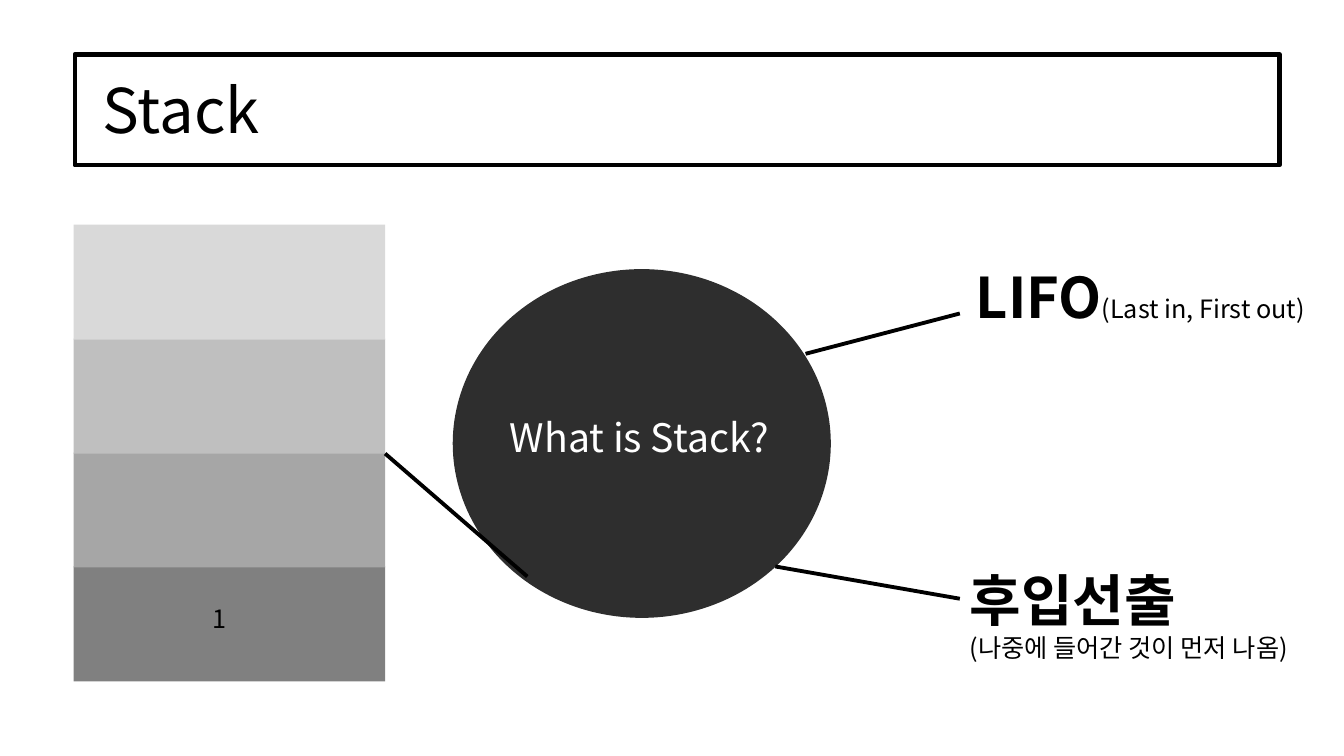
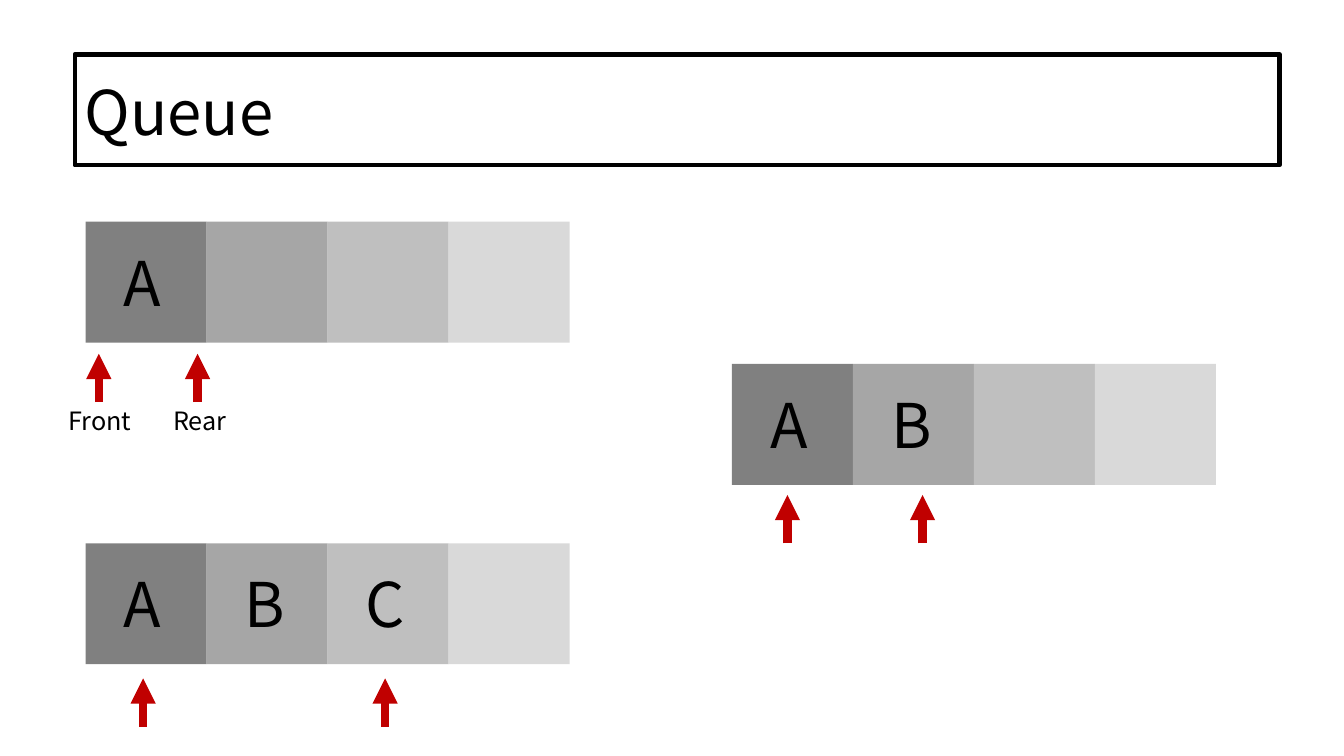
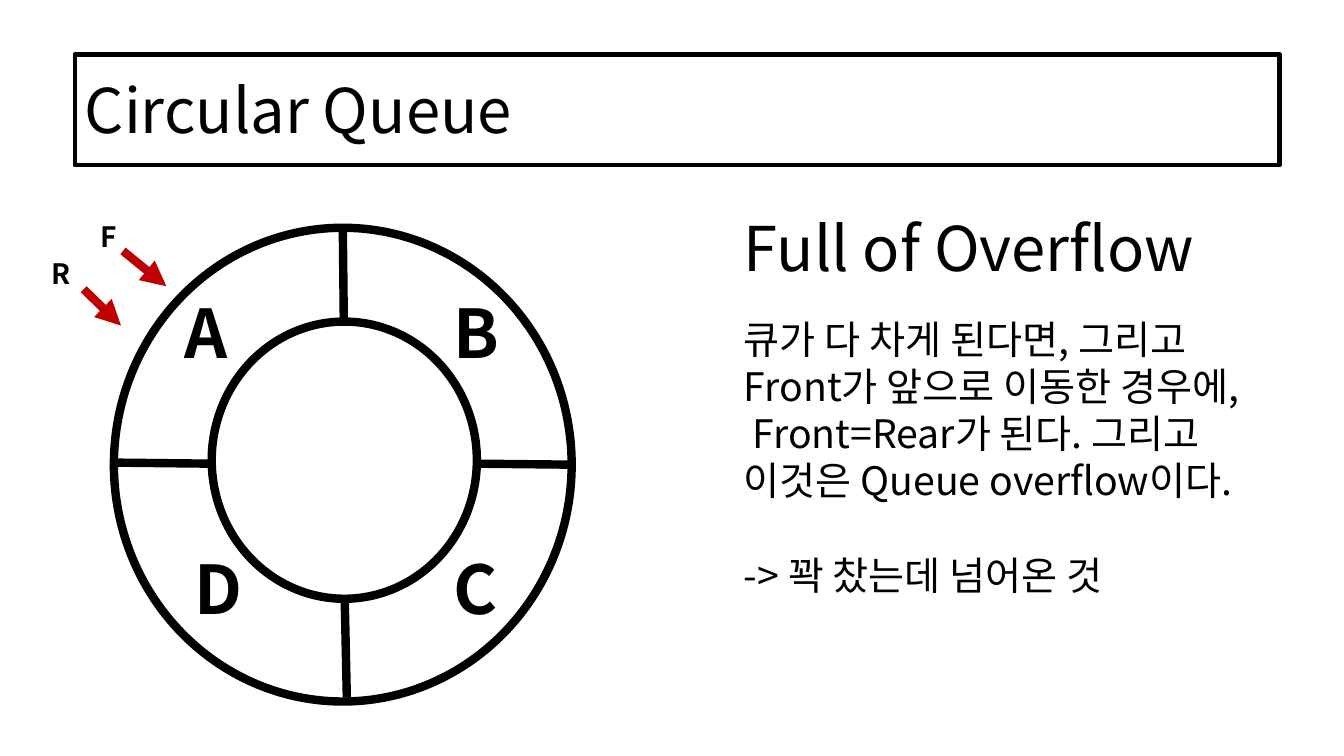
"""Build three slides on the stack, the queue and the circular queue."""
from lxml import etree
from pptx import Presentation
from pptx.dml.color import RGBColor
from pptx.enum.shapes import MSO_CONNECTOR, MSO_SHAPE
from pptx.enum.text import MSO_ANCHOR, MSO_AUTO_SIZE, PP_ALIGN
from pptx.oxml.ns import qn
from pptx.util import Emu, Pt

PX = 9144
FONT = "Noto Sans CJK KR"
RECTANGLE, ELLIPSE = MSO_SHAPE.RECTANGLE, MSO_SHAPE.OVAL
STRAIGHT = MSO_CONNECTOR.STRAIGHT
MIDDLE, LEFT = MSO_ANCHOR.MIDDLE, PP_ALIGN.LEFT
FIT_SHAPE, NO_FIT = MSO_AUTO_SIZE.SHAPE_TO_FIT_TEXT, MSO_AUTO_SIZE.NONE

COLORS = {"ink": "000000", "paper": "FFFFFF", "pointer": "C00000",
          "cell 1": "808080", "cell 2": "A6A6A6", "cell 3": "BFBFBF", "cell 4": "D9D9D9"}
CELLS = ("cell 1", "cell 2", "cell 3", "cell 4")

TITLE_SIZE = (1150, 145)
TITLE_FRAME = (74, 54, 1195, 110)

STACK_BOTTOM_BLOCK = (73, 562, 309, 114)
STACK_STEP = 113
STACK_CIRCLE = (449, 267, 375, 346)
STACK_LINES = [(799, 351, 952, 311), (769, 562, 952, 594), (382, 450, 523, 572)]
STACK_QUESTION = ((496, 405, 410, 57), [("What is Stack?", 28, False)])
STACK_LIFO = ((958, 256, 375, 77), [("LIFO", 40, True)])
STACK_LIFO_NOTE = "(Last in, First out)"
STACK_TEXTS = [
    ((952, 556, 375, 108), [("후입선출", 40, True), ("(나중에 들어간 것이 먼저 나옴)", 18, False)]),
    ((201, 594, 114, 40), [("1", 18, False)]),
]

QUEUE_CELL = 120
QUEUE_LETTER = (28, 18, 86, 84)
QUEUE_ARROW = 48
QUEUES = [
    {"at": (85, 220), "letters": "A", "arrows": (98, 196), "tip": 351},
    {"at": (726, 361), "letters": "AB", "arrows": (781, 915), "tip": 491},
    {"at": (85, 539), "letters": "ABC", "arrows": (142, 382), "tip": 673},
]
QUEUE_LABELS = [((58, 397, 101, 40), "Front"), ((162, 397, 82, 40), "Rear")]

RING_CIRCLES = [(113, 226, 454, 470), (210, 319, 263, 275)]
RING_SPOKES = [(340, 226, 341, 319), (567, 461, 473, 460),
               (210, 460, 117, 459), (342, 598, 344, 692)]
RING_LETTERS = [("A", 173, 284), ("B", 440, 284), ("C", 440, 538), ("D", 183, 538)]
RING_POINTERS = [("F", 90, 213, (122, 249, 165, 284)), ("R", 41, 250, (83, 287, 120, 323))]
OVERFLOW_HEADING = ((728, 203, 496, 84), [("Full of Overflow", 44, False)])
OVERFLOW_BODY = ((728, 308, 509, 293), [
    ("큐가 다 차게 된다면, 그리고 Front가 앞으로 이동한 경우에, Front=Rear가 된다. "
     "그리고 이것은 Queue overflow이다.", 28, False),
    ("-> 꽉 찼는데 넘어온 것", 28, False),
])
OVERFLOW_GAP = 34


def scaled(lengths):
    return [Emu(length * PX) for length in lengths]


def color(name):
    return RGBColor.from_string(COLORS[name])


def style_run(run, size, bold=False, ink="ink"):
    run.font.size = Pt(size)
    run.font.bold = bold
    run.font.color.rgb = color(ink)
    run.font.name = FONT
    etree.SubElement(run.font._element, qn("a:ea"), typeface=FONT)


def add_text(slide, box, lines, ink="ink"):
    text_frame = slide.shapes.add_textbox(*scaled(box)).text_frame
    text_frame.word_wrap = True
    text_frame.auto_size = FIT_SHAPE
    for index, (text, size, bold) in enumerate(lines):
        paragraph = text_frame.add_paragraph() if index else text_frame.paragraphs[0]
        paragraph.text = text
        style_run(paragraph.runs[0], size, bold, ink)
    return text_frame


def add_shape(shapes, kind, box, fill=None, line_width=None):
    shape = shapes.add_shape(kind, *scaled(box))
    shape.shadow.inherit = False
    if fill:
        shape.fill.solid()
        shape.fill.fore_color.rgb = color(fill)
    else:
        shape.fill.background()
    if line_width:
        shape.line.color.rgb = color("ink")
        shape.line.width = Pt(line_width)
    else:
        shape.line.fill.background()
    return shape


def add_line(shapes, ends, width, ink="ink", arrow=False):
    connector = shapes.add_connector(STRAIGHT, *scaled(ends))
    connector.line.color.rgb = color(ink)
    connector.line.width = Pt(width)
    properties = connector._element.spPr
    if arrow:
        etree.SubElement(properties.find(qn("a:ln")), qn("a:tailEnd"), type="triangle")
    etree.SubElement(properties, qn("a:effectLst"))


def add_titled_slide(presentation, text, left, top):
    slide = presentation.slides.add_slide(presentation.slide_layouts[5])
    title = slide.shapes.title
    title.left, title.top, title.width, title.height = scaled((left, top, *TITLE_SIZE))
    text_frame = title.text_frame
    text_frame.text = text
    text_frame.word_wrap = True
    text_frame.auto_size = NO_FIT
    text_frame.vertical_anchor = MIDDLE
    paragraph = text_frame.paragraphs[0]
    paragraph.alignment = LEFT
    paragraph.line_spacing = 0.9
    style_run(paragraph.runs[0], 44)
    add_shape(slide.shapes, RECTANGLE, TITLE_FRAME, line_width=3)
    return slide


def build_stack(presentation):
    slide = add_titled_slide(presentation, "Stack", 92, 40)
    circle = add_shape(slide.shapes, ELLIPSE, STACK_CIRCLE, "ink")
    fill_color = circle._element.spPr.find(qn("a:solidFill"))[0]
    etree.SubElement(fill_color, qn("a:alpha"), val="82000")
    add_text(slide, *STACK_QUESTION, ink="paper")
    left, top, width, height = STACK_BOTTOM_BLOCK
    for level, fill in enumerate(CELLS):
        add_shape(slide.shapes, RECTANGLE, (left, top - level * STACK_STEP, width, height), fill)
    for ends in STACK_LINES:
        add_line(slide.shapes, ends, 2.75)
    note = add_text(slide, *STACK_LIFO).paragraphs[0].add_run()
    note.text = STACK_LIFO_NOTE
    style_run(note, 18)
    for box, lines in STACK_TEXTS:
        add_text(slide, box, lines)


def build_queue(presentation):
    slide = add_titled_slide(presentation, "Queue", 74, 42)
    letter_left, letter_top, *letter_size = QUEUE_LETTER
    for queue in QUEUES:
        left, top = queue["at"]
        row = slide.shapes.add_group_shape()
        for index, fill in enumerate(CELLS):
            cell = (left + index * QUEUE_CELL, top, QUEUE_CELL, QUEUE_CELL)
            add_shape(row.shapes, RECTANGLE, cell, fill)
        for index, letter in enumerate(queue["letters"]):
            box = (left + index * QUEUE_CELL + letter_left, top + letter_top, *letter_size)
            add_text(slide, box, [(letter, 44, False)])
        for x in queue["arrows"]:
            ends = (x, queue["tip"] + QUEUE_ARROW, x, queue["tip"])
            add_line(slide.shapes, ends, 6, "pointer", arrow=True)
    for box, label in QUEUE_LABELS:
        add_text(slide, box, [(label, 18, False)])


def build_circular_queue(presentation):
    slide = add_titled_slide(presentation, "Circular Queue", 74, 40)
    ring = slide.shapes.add_group_shape()
    for box in RING_CIRCLES:
        add_shape(ring.shapes, ELLIPSE, box, line_width=6)
    for ends in RING_SPOKES:
        add_line(ring.shapes, ends, 6)
    for letter, left, top in RING_LETTERS:
        add_text(slide, (left, top, 53, 91), [(letter, 48, True)])
    for letter, left, top, ends in RING_POINTERS:
        add_line(slide.shapes, ends, 6, "pointer", arrow=True)
        add_text(slide, (left, top, 34, 44), [(letter, 20, True)])
    add_text(slide, *OVERFLOW_HEADING)
    body = add_text(slide, *OVERFLOW_BODY)
    body.paragraphs[1].space_before = Pt(OVERFLOW_GAP)


def main():
    presentation = Presentation()
    presentation.slide_width, presentation.slide_height = scaled((1333, 750))
    build_stack(presentation)
    build_queue(presentation)
    build_circular_queue(presentation)
    presentation.save("out.pptx")


if __name__ == "__main__":
    main()
